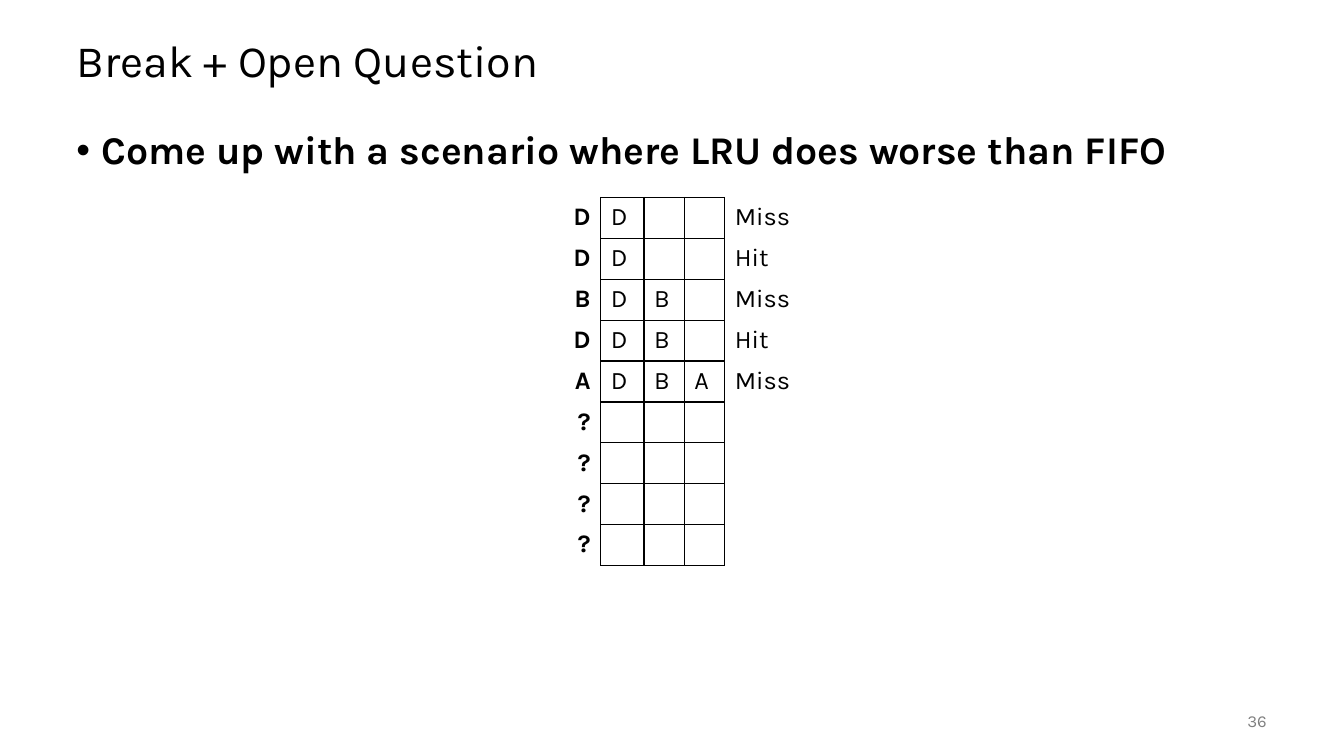
from dataclasses import dataclass

from lxml import etree
from pptx import Presentation
from pptx import util as u
from pptx.dml.color import RGBColor
from pptx.enum import text
from pptx.oxml import ns


@dataclass(frozen=True)
class Theme:
    font: str = "Karla"
    ink: str = "000000"
    gray: str = "808080"
    title: float = 32
    body: float = 28
    cell: float = 18
    note: float = 12
    line: float = 1


THEME = Theme()
RIGHT = text.PP_ALIGN.RIGHT
MIDDLE = text.MSO_ANCHOR.MIDDLE
WIDTHS = [40.3, 31, 28.8, 28.8, 72]
HEIGHT = 29.25
STEPS = [
    ("D", "D", "Miss"),
    ("D", "D", "Hit"),
    ("B", "DB", "Miss"),
    ("D", "DB", "Hit"),
    ("A", "DBA", "Miss"),
] + [("?", "", "")] * 4


def apply(item, values):
    for name, value in values.items():
        setattr(item, name, value)


def write(para, words, size, color=THEME.ink, bold=False, **form):
    apply(para, form)
    run = para.add_run()
    run.text = words
    apply(run.font, {"name": THEME.font, "size": u.Pt(size), "bold": bold})
    run.font.color.rgb = RGBColor.from_string(color)


def add_box(slide, place, anchor=MIDDLE):
    frame = slide.shapes.add_textbox(*map(u.Pt, place)).text_frame
    apply(frame, {"word_wrap": True, "vertical_anchor": anchor})
    return frame.paragraphs[0]


def add_dot(para, indent):
    props = para._p.get_or_add_pPr()
    props.set("marL", str(u.Pt(indent)))
    props.set("indent", str(-u.Pt(indent)))
    font = etree.SubElement(props, ns.qn("a:buFont"))
    font.set("typeface", "Arial")
    etree.SubElement(props, ns.qn("a:buChar")).set("char", "•")


def set_edges(cell, shown):
    props = cell._tc.get_or_add_tcPr()
    for spot, side in enumerate("LRTB"):
        edge = etree.Element(ns.qn(f"a:ln{side}"), w=str(u.Pt(THEME.line)))
        if side in shown:
            fill = etree.SubElement(edge, ns.qn("a:solidFill"))
            etree.SubElement(fill, ns.qn("a:srgbClr"), val=THEME.ink)
        else:
            etree.SubElement(edge, ns.qn("a:noFill"))
        props.insert(spot, edge)


def add_grid(slide, left, top):
    size = left, top, sum(WIDTHS), HEIGHT * len(STEPS)
    table = slide.shapes.add_table(
        len(STEPS), len(WIDTHS), *map(u.Pt, size)).table
    apply(table, {"first_row": False, "horz_banding": False})
    for col, width in zip(table.columns, WIDTHS):
        col.width = u.Pt(width)
    last = len(WIDTHS) - 1
    for row, (page, cache, result) in zip(table.rows, STEPS):
        row.height = u.Pt(HEIGHT)
        for spot, words in enumerate([page, *cache.ljust(3), result]):
            cell = row.cells[spot]
            cell.fill.background()
            set_edges(cell, {0: "R", last: "L"}.get(spot, "LRTB"))
            para = cell.text_frame.paragraphs[0]
            if words.strip():
                form = {"bold": True, "alignment": RIGHT} if spot == 0 else {}
                write(para, words, THEME.cell, **form)


def main():
    deck = Presentation()
    apply(deck, {"slide_width": u.Pt(960), "slide_height": u.Pt(540)})
    slide = deck.slides.add_slide(deck.slide_layouts[6])
    title = add_box(slide, (47.5, 18, 864, 54))
    write(title, "Break + Open Question", THEME.title, line_spacing=0.9)
    point = add_box(slide, (47.5, 90, 864, 396), text.MSO_ANCHOR.TOP)
    add_dot(point, 18)
    write(point, "Come up with a scenario where LRU does worse than FIFO",
          THEME.body, bold=True, line_spacing=0.9)
    add_grid(slide, 388.8, 141)
    number = add_box(slide, (840, 500.5, 72, 28.8))
    write(number, "36", THEME.note, THEME.gray, alignment=RIGHT)
    deck.save("out.pptx")


if __name__ == "__main__":
    main()
